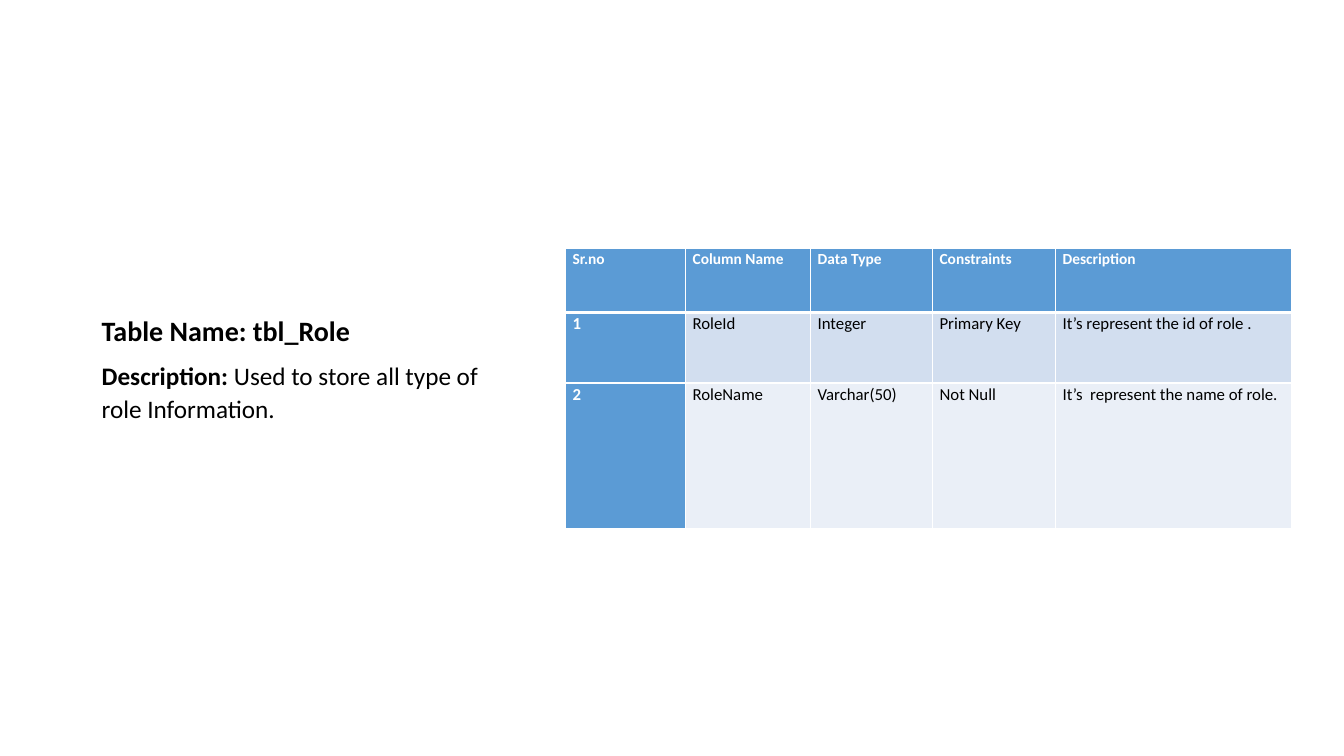
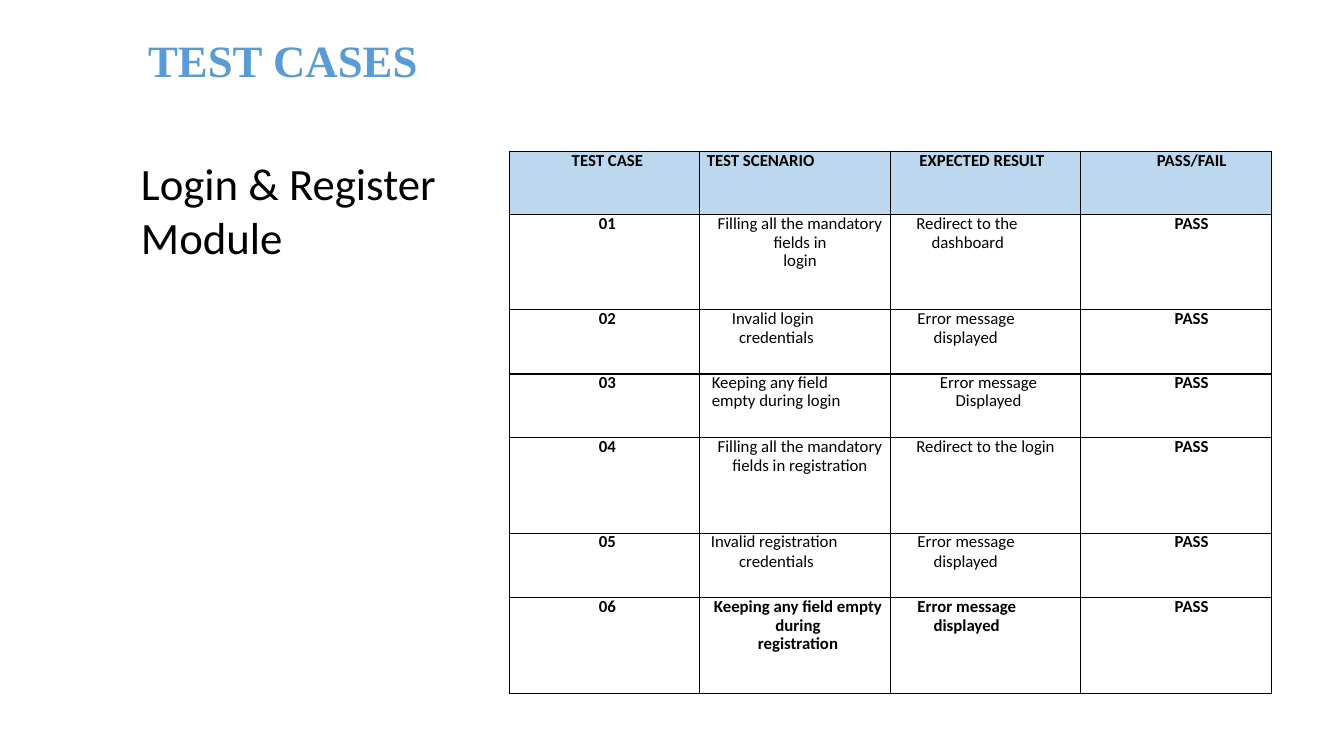
from dataclasses import dataclass

from lxml.etree import SubElement
from pptx import Presentation
from pptx.dml.color import RGBColor
from pptx.enum.text import MSO_AUTO_SIZE, MSO_VERTICAL_ANCHOR, PP_ALIGN
from pptx.oxml.ns import qn
from pptx.util import Emu, Pt


@dataclass(frozen=True)
class Theme:
    body_font: str = "Calibri"
    title_font: str = "Times New Roman"
    black: str = "000000"
    white: str = "FFFFFF"
    accent: str = "5B9BD5"
    header_tint: str = "BDD7EE"
    bands: tuple = ("D2DEEF", "EAEFF7")
    display: int = 32
    heading: int = 20
    body: int = 18
    cell: int = 12
    column_label: int = 11
    loose: float = 1.07
    first_leading: Pt = Pt(13.8)
    next_leading: Pt = Pt(12.8)


THEME = Theme()
CENTER = PP_ALIGN.CENTER

ROLE_COLUMNS = [119, 124, 121, 122, 234]
ROLE_ROWS = [64, 70, 144]
ROLES = [
    ["Sr.no", "Column Name", "Data Type", "Constraints", "Description"],
    ["1", "RoleId", "Integer", "Primary Key", "It’s represent the id of role ."],
    ["2", "RoleName", "Varchar(50)", "Not Null", "It’s  represent the name of role."],
]

CASE_COLUMNS = [189] * 4
CASE_ROWS = [63, 94, 64, 63, 95, 64, 95]
NUMBER = {"align": CENTER, "margin": 6}
VERDICT = {"align": CENTER, "margin": 31}
FILLING = {"align": CENTER, "margin": 10}
ERROR = {"margin": 43, "indent": -16}
CASE_HEADER = [
    (["TEST CASE"], NUMBER),
    (["TEST SCENARIO"], {"margin": 7}),
    (["EXPECTED RESULT"], {"margin": 41, "indent": -12}),
    (["PASS/FAIL"], VERDICT),
]
CASES = [
    ((["Filling all the mandatory fields in", "login"], FILLING),
     (["Redirect to the dashboard"], {"margin": 41, "indent": -15})),
    ((["Invalid login credentials"], {"margin": 39, "indent": -7}),
     (["Error message displayed"], ERROR)),
    ((["Keeping any field", "empty during login"], {"margin": 12}),
     (["Error message", "Displayed"], NUMBER)),
    ((["Filling all the mandatory fields in registration"], FILLING),
     (["Redirect to the login"], {"margin": 58, "indent": -32})),
    ((["Invalid registration credentials"], {"margin": 39, "indent": -28}),
     (["Error message displayed"], ERROR)),
    ((["Keeping any field empty during", "registration"], NUMBER),
     (["Error message displayed"], ERROR)),
]


def px(length):
    return Emu(length * 9144)


def write(paragraph, text, size=THEME.cell, color=THEME.black, bold=False,
          font=THEME.body_font, align=PP_ALIGN.LEFT, margin=0, indent=0,
          leading=None, after=0):
    properties = paragraph._p.get_or_add_pPr()
    properties.set("marL", str(px(margin)))
    properties.set("indent", str(px(indent)))
    paragraph.alignment = align
    paragraph.line_spacing = leading
    paragraph.space_after = Pt(after)
    run = paragraph.add_run()
    run.text = text
    run.font.name = font
    run.font.size = Pt(size)
    run.font.bold = bold
    run.font.color.rgb = RGBColor.from_string(color)


def add_text_frame(slide, left, top, width, height, wrap=True):
    frame = slide.shapes.add_textbox(px(left), px(top), px(width), px(height)).text_frame
    frame.word_wrap = wrap
    frame.auto_size = MSO_AUTO_SIZE.SHAPE_TO_FIT_TEXT
    return frame


def add_grid(slide, left, top, columns, rows):
    grid = slide.shapes.add_table(
        len(rows), len(columns), px(left), px(top), px(sum(columns)), px(sum(rows))
    ).table
    grid.horz_banding = False
    for column, width in zip(grid.columns, columns):
        column.width = px(width)
    for row, height in zip(grid.rows, rows):
        row.height = px(height)
    return grid


def style_cell(cell, fill, border, side_inset=0, bottom_width=1):
    cell.margin_left = cell.margin_right = px(side_inset)
    cell.margin_top = cell.margin_bottom = 0
    cell.vertical_anchor = MSO_VERTICAL_ANCHOR.TOP
    properties = cell._tc.get_or_add_tcPr()
    for edge, width in (("L", 1), ("R", 1), ("T", 1), ("B", bottom_width)):
        line = SubElement(properties, qn(f"a:ln{edge}"), w=str(Pt(width)))
        SubElement(SubElement(line, qn("a:solidFill")), qn("a:srgbClr"), val=border)
    if fill:
        cell.fill.solid()
        cell.fill.fore_color.rgb = RGBColor.from_string(fill)
    else:
        cell.fill.background()


def add_role_table(slide):
    grid = add_grid(slide, 561, 246, ROLE_COLUMNS, ROLE_ROWS)
    for row, entries in enumerate(ROLES):
        for column, entry in enumerate(entries):
            header = row == 0
            label = header or column == 0
            cell = grid.cell(row, column)
            style_cell(cell, THEME.accent if label else THEME.bands[row - 1],
                       THEME.white, side_inset=7, bottom_width=3 if header else 1)
            write(cell.text_frame.paragraphs[0], entry, bold=label,
                  size=THEME.column_label if header else THEME.cell,
                  color=THEME.white if label else THEME.black, leading=THEME.loose)


def add_case_table(slide):
    grid = add_grid(slide, 505, 150, CASE_COLUMNS, CASE_ROWS)
    rows = [CASE_HEADER] + [
        [([f"{number:02}"], NUMBER), scenario, expected, (["PASS"], VERDICT)]
        for number, (scenario, expected) in enumerate(CASES, 1)
    ]
    for row, entries in enumerate(rows):
        emphasized = row in (0, len(CASES))
        for column, (lines, layout) in enumerate(entries):
            cell = grid.cell(row, column)
            style_cell(cell, None if row else THEME.header_tint, THEME.black)
            frame = cell.text_frame
            for index, line in enumerate(lines):
                paragraph = frame.add_paragraph() if index else frame.paragraphs[0]
                write(paragraph, line, bold=emphasized or column in (0, 3),
                      leading=THEME.next_leading if index else THEME.first_leading,
                      **layout)


def build_role_slide(slide):
    summary = add_text_frame(slide, 91, 304, 419, 121)
    spacing = {"leading": THEME.loose, "after": 8}
    write(summary.paragraphs[0], "Table Name: tbl_Role", size=THEME.heading,
          bold=True, **spacing)
    description = summary.add_paragraph()
    write(description, "Description:", size=THEME.body, bold=True, **spacing)
    write(description, " Used to store all type of role Information.",
          size=THEME.body, **spacing)
    add_role_table(slide)


def build_case_slide(slide):
    title = add_text_frame(slide, 87, 28, 341, 64, wrap=False)
    write(title.paragraphs[0], "TEST CASES", size=THEME.display, color=THEME.accent,
          bold=True, font=THEME.title_font, margin=50)
    add_case_table(slide)
    module = add_text_frame(slide, 130, 150, 323, 178)
    write(module.paragraphs[0], "Login & Register Module", size=THEME.display)


def main():
    deck = Presentation()
    deck.slide_width, deck.slide_height = px(1333), px(750)
    for build in (build_role_slide, build_case_slide):
        build(deck.slides.add_slide(deck.slide_layouts[6]))
    deck.save("out.pptx")


if __name__ == "__main__":
    main()
